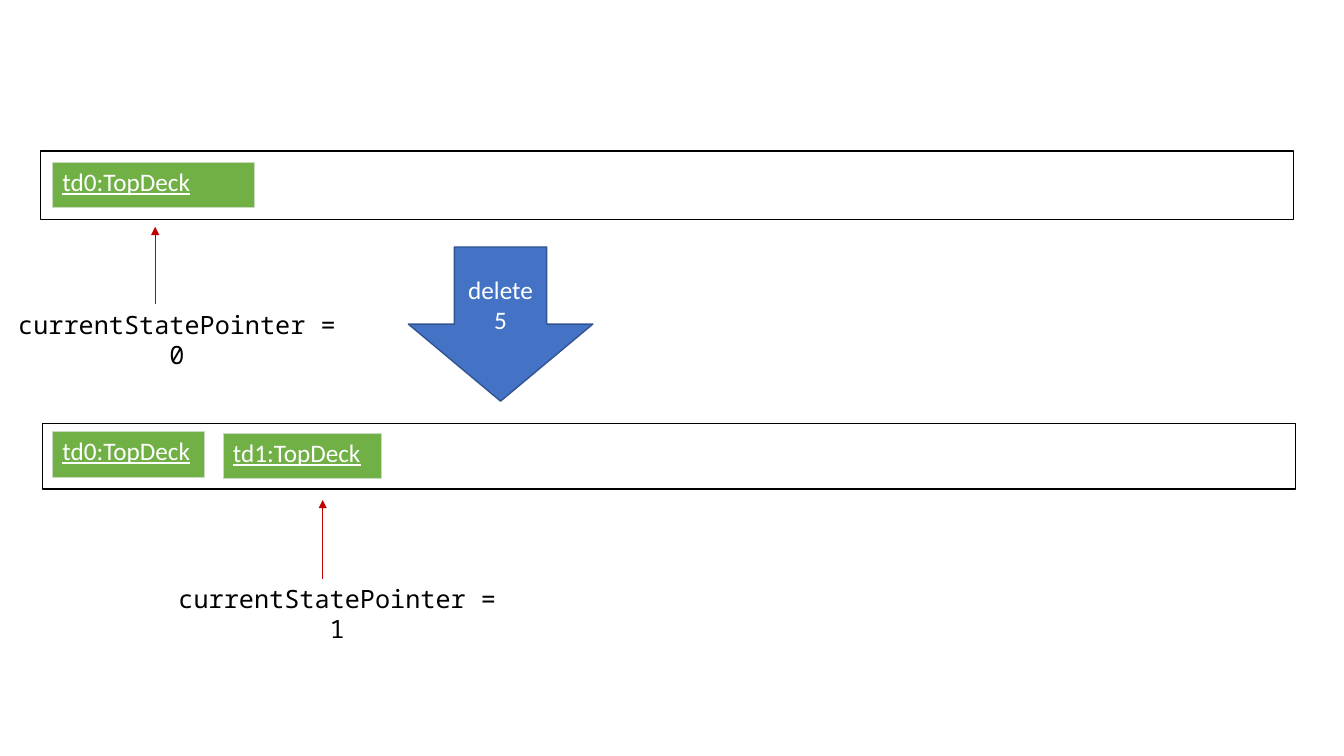
import pptx
import pptx.util
import pptx.dml.color
import pptx.enum.shapes
import pptx.enum.text
import pptx.oxml
import pptx.oxml.ns
import lxml.etree

SLIDE_WIDTH, SLIDE_HEIGHT = 13.33, 7.5

# Places are percentages of the slide: left, top, width, height.
STATES = [
    {"bar": (3, 20, 93.25, 9.07),
     "decks": [("td0:TopDeck", (3.9, 21.47, 15, 6))],
     "label": ("currentStatePointer = 0", (0, 40.27, 26.33, 5.33)),
     "pointer": (11.55, 40.27, 30)},
    {"bar": (3.15, 56, 93.25, 8.67),
     "decks": [("td0:TopDeck", (3.9, 57.07, 11.33, 6)),
               ("td1:TopDeck", (16.58, 57.33, 11.78, 6))],
     "label": ("currentStatePointer = 1", (11.93, 76.53, 26.33, 5.33)),
     "pointer": (24.01, 76.53, 66.13)},
]
COMMAND = ("delete 5", (30.38, 32.67, 13.73, 20.4))

LABEL_FONT = {"name": "Noto Sans Mono", "size": pptx.util.Pt(18)}
COMMAND_FONT = {"name": "Calibri", "size": pptx.util.Pt(18)}
DECK_FONT = {**COMMAND_FONT, "underline": True, "bold": False}
LABEL_FRAME = {"word_wrap": True,
               "auto_size": pptx.enum.text.MSO_AUTO_SIZE.SHAPE_TO_FIT_TEXT}
CENTER = pptx.enum.text.PP_ALIGN.CENTER
LEFT = pptx.enum.text.PP_ALIGN.LEFT


def across(share):
    return pptx.util.Inches(SLIDE_WIDTH * share / 100)


def down(share):
    return pptx.util.Inches(SLIDE_HEIGHT * share / 100)


def place(area):
    left, top, width, height = area
    return across(left), down(top), across(width), down(height)


def paint(color_format, color):
    color_format.rgb = pptx.dml.color.RGBColor.from_string(color)


def apply(target, values):
    for name, value in values.items():
        setattr(target, name, value)


def write(frame, wording, font, color, alignment):
    paragraph = frame.paragraphs[0]
    paragraph.alignment = alignment
    run = paragraph.add_run()
    run.text = wording
    apply(run.font, font)
    paint(run.font.color, color)


def add_outlined(preset, area, line_color, fill_color=None):
    outlined = slide.shapes.add_shape(preset, *place(area))
    outlined.shadow.inherit = False
    if fill_color:
        outlined.fill.solid()
        paint(outlined.fill.fore_color, fill_color)
    else:
        outlined.fill.background()
    paint(outlined.line.color, line_color)
    outlined.line.width = pptx.util.Pt(1)
    return outlined


def add_deck(wording, area):
    deck = slide.shapes.add_table(1, 1, *place(area)).table
    cell = deck.cell(0, 0)
    cell.fill.solid()
    paint(cell.fill.fore_color, "70B045")
    write(cell.text_frame, wording, DECK_FONT, "FFFFFF", LEFT)
    properties = cell._tc.get_or_add_tcPr()
    for position, side in enumerate(("lnL", "lnR", "lnT", "lnB")):
        properties.insert(position, pptx.oxml.parse_xml(
            f'<a:{side} {pptx.oxml.ns.nsdecls("a")} w="6350"><a:solidFill>'
            f'<a:srgbClr val="C9DBC1"/></a:solidFill></a:{side}>'))


def add_pointer(x, start, end):
    pointer = slide.shapes.add_connector(
        pptx.enum.shapes.MSO_CONNECTOR.STRAIGHT,
        across(x), down(start), across(x), down(end))
    paint(pointer.line.color, "C00000")
    pointer.line.width = pptx.util.Pt(0.5)
    lxml.etree.SubElement(pointer.line._get_or_add_ln(),
                          pptx.oxml.ns.qn("a:tailEnd"), type="triangle")
    lxml.etree.SubElement(pointer._element.spPr, pptx.oxml.ns.qn("a:effectLst"))


def add_label(wording, area):
    label = slide.shapes.add_textbox(*place(area))
    apply(label.text_frame, LABEL_FRAME)
    write(label.text_frame, wording, LABEL_FONT, "000000", CENTER)


deck_show = pptx.Presentation()
apply(deck_show, {"slide_width": across(100), "slide_height": down(100)})
slide = deck_show.slides.add_slide(deck_show.slide_layouts[6])

for state in STATES:
    add_outlined(pptx.enum.shapes.MSO_SHAPE.RECTANGLE, state["bar"], "000000")
    for deck in state["decks"]:
        add_deck(*deck)
    add_label(*state["label"])
    add_pointer(*state["pointer"])

command_text, command_area = COMMAND
command = add_outlined(pptx.enum.shapes.MSO_SHAPE.DOWN_ARROW, command_area,
                       "325491", "4472C4")
command.text_frame.vertical_anchor = pptx.enum.text.MSO_ANCHOR.MIDDLE
write(command.text_frame, command_text, COMMAND_FONT, "FFFFFF", CENTER)

deck_show.save("out.pptx")
